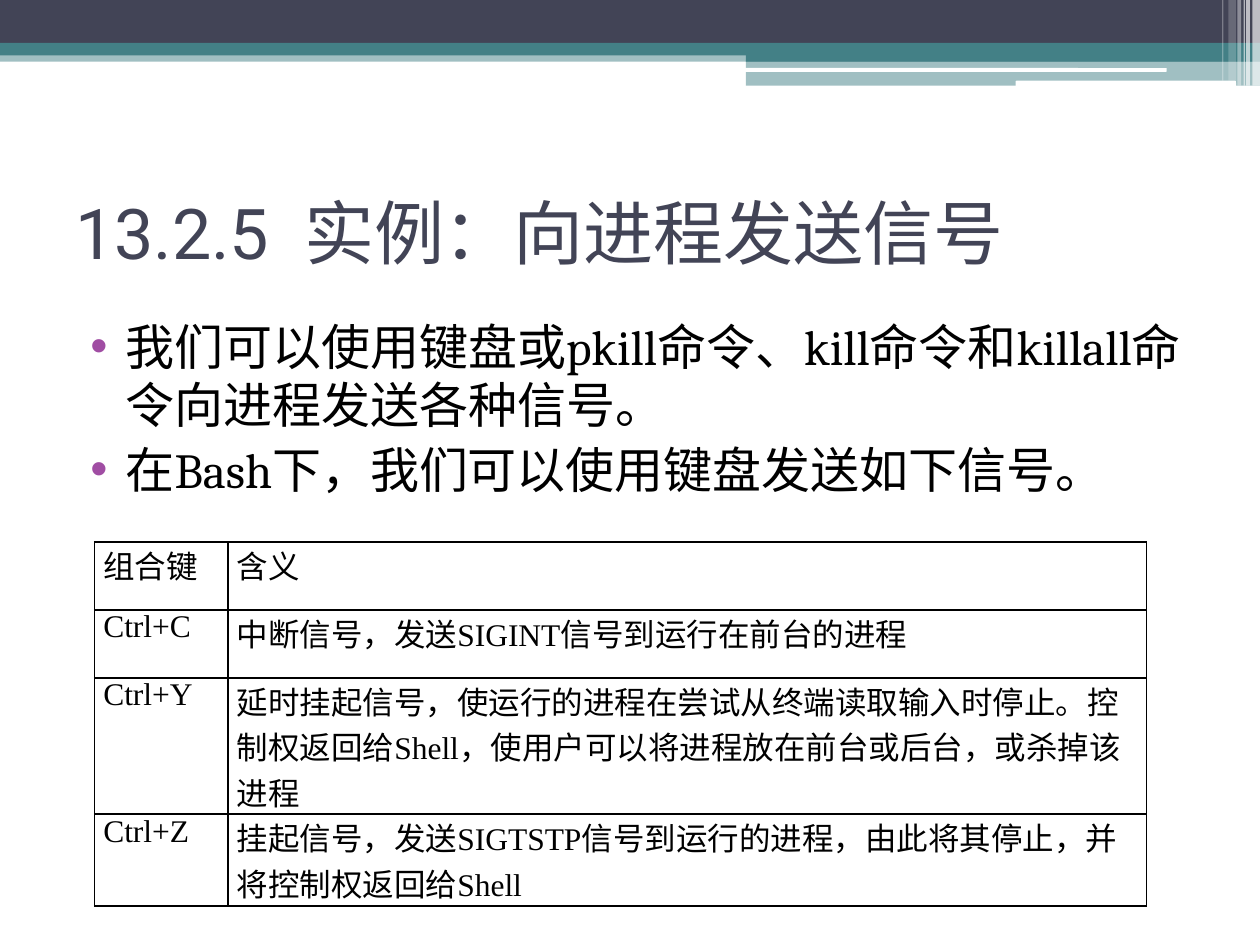
from dataclasses import dataclass

from lxml import etree
from pptx import Presentation
from pptx.dml.color import RGBColor
from pptx.enum.shapes import MSO_SHAPE
from pptx.enum.text import MSO_ANCHOR
from pptx.oxml.ns import qn
from pptx.util import Inches, Pt

RECT, ROUND = MSO_SHAPE.RECTANGLE, MSO_SHAPE.ROUNDED_RECTANGLE
TOP, MIDDLE = MSO_ANCHOR.TOP, MSO_ANCHOR.MIDDLE
COLORS = {"slate": "424456", "teal": "438086", "white": "FFFFFF",
          "black": "000000", "bullet": "A04DA3"}
# The slide is a grid of 1000 columns by 750 rows.
COLS, ROWS = 1000, 750
UNIT = Inches(0.01)


@dataclass(frozen=True)
class Box:
    left: int
    top: int
    width: int
    height: int

    def emu(self) -> list[int]:
        return [n * UNIT for n in (self.left, self.top, self.width, self.height)]


@dataclass(frozen=True)
class Band:
    box: Box
    color: str
    opacity: int = 100
    shape: int = RECT


@dataclass(frozen=True)
class Style:
    font: str
    size: int
    color: str
    east_asian: str = ""


TITLE = Style("Roboto", 40, "slate", east_asian="Roboto")
BODY = Style("Cambria", 28, "black", east_asian="Roboto")
CELL = Style("Times New Roman", 18, "black")

BANDS = [
    Band(Box(0, 40, COLS, 9), "teal", 50),
    Band(Box(0, 0, COLS, 34), "slate"),
    Band(Box(0, 34, COLS, 10), "teal"),
    Band(Box(592, 39, 408, 10), "teal"),
    Band(Box(592, 48, 408, 20), "teal", 50),
    Band(Box(591, 54, 335, 3), "white", shape=ROUND),
    Band(Box(806, 64, 175, 5), "white", shape=ROUND),
] + [
    Band(Box(left, 0, width, height), "white", opacity)
    for left, width, height, opacity in [
        (994, 6, 68, 65), (989, 3, 68, 65), (987, 1, 68, 60),
        (982, 3, 68, 40), (975, 6, 64, 20), (970, 1, 64, 30)]
]

BULLETS = [
    "我们可以使用键盘或pkill命令、kill命令和killall命令向进程发送各种信号。",
    "在Bash下，我们可以使用键盘发送如下信号。",
]
SIGNALS = [
    ("组合键", "含义"),
    ("Ctrl+C", "中断信号，发送SIGINT信号到运行在前台的进程"),
    ("Ctrl+Y", "延时挂起信号，使运行的进程在尝试从终端读取输入时停止。"
               "控制权返回给Shell，使用户可以将进程放在前台或后台，或杀掉该进程"),
    ("Ctrl+Z", "挂起信号，发送SIGTSTP信号到运行的进程，由此将其停止，并将控制权返回给Shell"),
]
COL_WIDTHS, ROW_HEIGHTS = (106, 729), (54, 54, 108, 73)


def rgb(name: str) -> RGBColor:
    return RGBColor.from_string(COLORS[name])


def add_run(p, text: str, style: Style) -> None:
    r = p.add_run()
    r.text = text
    r.font.name, r.font.size = style.font, Pt(style.size)
    r.font.color.rgb = rgb(style.color)
    if style.east_asian:
        latin = r.font._element.find(qn("a:latin"))
        latin.addnext(etree.Element(qn("a:ea"), typeface=style.east_asian))


def add_band(s, band: Band) -> None:
    sp = s.shapes.add_shape(band.shape, *band.box.emu())
    sp.shadow.inherit = False
    sp.line.fill.background()
    sp.fill.solid()
    sp.fill.fore_color.rgb = rgb(band.color)
    if band.opacity < 100:
        color = sp._element.spPr.find(".//" + qn("a:srgbClr"))
        etree.SubElement(color, qn("a:alpha"), val=str(band.opacity * 1000))


def add_text(s, box: Box, lines: list[str], style: Style,
             anchor: MSO_ANCHOR = TOP, bulleted: bool = False) -> None:
    tf = s.shapes.add_textbox(*box.emu()).text_frame
    tf.word_wrap = True
    tf.vertical_anchor = anchor
    for i, line in enumerate(lines):
        p = tf.paragraphs[0] if i == 0 else tf.add_paragraph()
        if bulleted:
            p.space_before = Pt(3)
            add_bullet(p)
        add_run(p, line, style)


def add_bullet(p) -> None:
    pPr = p._p.get_or_add_pPr()
    pPr.set("marL", str(Inches(0.4)))
    pPr.set("indent", str(Inches(-0.28)))
    color = etree.SubElement(pPr, qn("a:buClr"))
    etree.SubElement(color, qn("a:srgbClr"), val=COLORS["bullet"])
    etree.SubElement(pPr, qn("a:buFont"), typeface="Arial")
    etree.SubElement(pPr, qn("a:buChar"), char="•")


def add_borders(cell) -> None:
    tcPr = cell._tc.get_or_add_tcPr()
    for i, side in enumerate(("lnL", "lnR", "lnT", "lnB")):
        ln = etree.Element(qn(f"a:{side}"), w=str(Pt(1)))
        fill = etree.SubElement(ln, qn("a:solidFill"))
        etree.SubElement(fill, qn("a:srgbClr"), val=COLORS["black"])
        tcPr.insert(i, ln)


def add_signal_table(s, left: int, top: int) -> None:
    box = Box(left, top, sum(COL_WIDTHS), sum(ROW_HEIGHTS))
    table = s.shapes.add_table(len(SIGNALS), len(COL_WIDTHS), *box.emu()).table
    table.first_row = table.horz_banding = False
    for column, width in zip(table.columns, COL_WIDTHS):
        column.width = width * UNIT
    for row, height, texts in zip(table.rows, ROW_HEIGHTS, SIGNALS):
        row.height = height * UNIT
        for cell, text in zip(row.cells, texts):
            cell.margin_left = cell.margin_right = Inches(0.07)
            cell.margin_top = cell.margin_bottom = 0
            cell.fill.background()
            add_borders(cell)
            add_run(cell.text_frame.paragraphs[0], text, CELL)


def main() -> None:
    prs = Presentation()
    prs.slide_width, prs.slide_height = COLS * UNIT, ROWS * UNIT
    s = prs.slides.add_slide(prs.slide_layouts[6])
    for band in BANDS:
        add_band(s, band)
    add_text(s, Box(50, 125, 900, 117), ["13.2.5  实例：向进程发送信号"], TITLE,
             anchor=MIDDLE)
    add_text(s, Box(50, 246, 900, 168), BULLETS, BODY, bulleted=True)
    add_signal_table(s, 75, 430)
    prs.save("out.pptx")


if __name__ == "__main__":
    main()
